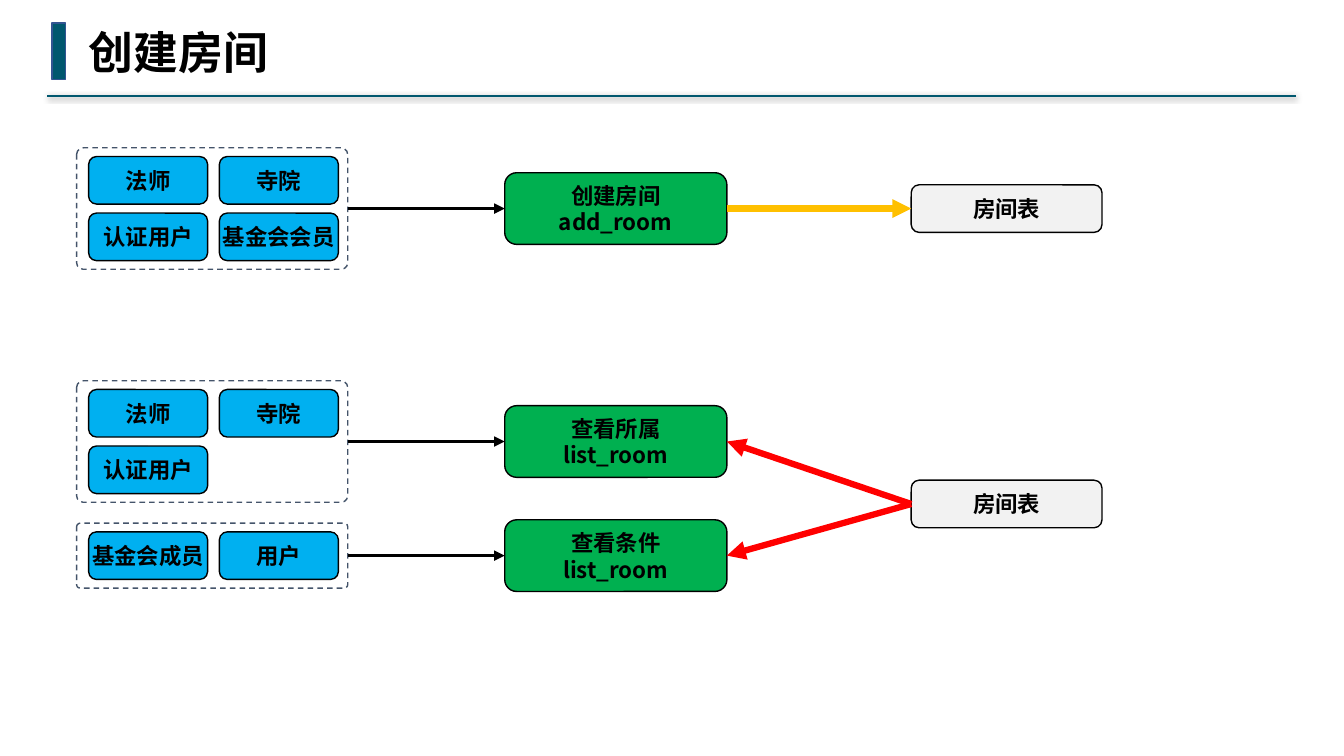
from lxml import etree
from pptx import Presentation
from pptx.dml.color import RGBColor
from pptx.enum.dml import MSO_LINE
from pptx.enum.shapes import MSO_CONNECTOR, MSO_SHAPE
from pptx.enum.text import MSO_ANCHOR, MSO_AUTO_SIZE, PP_ALIGN
from pptx.oxml.ns import qn
from pptx.util import Pt

STRAIGHT = MSO_CONNECTOR.STRAIGHT
RECT, ROUNDED = MSO_SHAPE.RECTANGLE, MSO_SHAPE.ROUNDED_RECTANGLE
TOP, MIDDLE = MSO_ANCHOR.TOP, MSO_ANCHOR.MIDDLE
LEFT, CENTER = PP_ALIGN.LEFT, PP_ALIGN.CENTER
DASH = MSO_LINE.DASH
LEFT_SITE, RIGHT_SITE = 1, 3

TITLE_FONT, BOX_FONT = "Noto Sans Mono", "Noto Sans CJK SC"
BLACK, TEAL, BLUE, GREEN, GREY = "000000", "00576E", "00B0F0", "00B050", "F2F2F2"
AMBER, RED = "FFC000", "FF0000"

# Role grid, in points
FRAME_LEFT, FRAME_W = 54.7, 193.7
ROLE_W, BOX_H = 85, 34
COL_STEP, ROW_STEP = 93.4, 40.4
PAD_X, PAD_Y = 8.6, 6.2


def rgb(color):
    return RGBColor.from_string(color)


def set_font(paragraph, name, size):
    font = paragraph.font
    font.name, font.size, font.bold = name, Pt(size), True
    font.color.rgb = rgb(BLACK)
    properties = paragraph._p.pPr.find(qn("a:defRPr"))
    etree.SubElement(properties, qn("a:ea")).set("typeface", name)


def add_block(shapes, kind, left, top, width, height, fill, line=BLACK):
    block = shapes.add_shape(kind, Pt(left), Pt(top), Pt(width), Pt(height))
    block.shadow.inherit = False
    if fill:
        block.fill.solid()
        block.fill.fore_color.rgb = rgb(fill)
    else:
        block.fill.background()
    block.line.color.rgb = rgb(line)
    block.line.width = Pt(1)
    return block


def add_box(shapes, text, left, middle, width, height, fill):
    box = add_block(shapes, ROUNDED, left, middle - height / 2, width, height, fill)
    frame = box.text_frame
    frame.margin_left = frame.margin_right = Pt(3)
    frame.margin_top = frame.margin_bottom = Pt(3)
    frame.word_wrap = False
    frame.vertical_anchor = MIDDLE
    frame.text = text
    for paragraph in frame.paragraphs:
        paragraph.alignment = CENTER
        set_font(paragraph, BOX_FONT, 16)
    return box


def add_roles(slide, middle, roles):
    """Group roles two to a row inside a dashed frame; return the frame."""
    rows = (len(roles) + 1) // 2
    height = 2 * PAD_Y + BOX_H + (rows - 1) * ROW_STEP
    top = middle - height / 2
    shapes = slide.shapes.add_group_shape().shapes
    for index, role in enumerate(roles):
        row, column = divmod(index, 2)
        add_box(shapes, role, FRAME_LEFT + PAD_X + column * COL_STEP,
                top + PAD_Y + BOX_H / 2 + row * ROW_STEP, ROLE_W, BOX_H, BLUE)
    frame = add_block(shapes, ROUNDED, FRAME_LEFT, top, FRAME_W, height, None, "44546A")
    frame.adjustments[0] = 0.055
    frame.line.dash_style = DASH
    return frame


def add_function(slide, label, middle):
    return add_box(slide.shapes, label, 360.5, middle, 158.7, 51.2, GREEN)


def add_room_table(slide, middle):
    return add_box(slide.shapes, "房间表", 650.9, middle, 136.3, BOX_H, GREY)


def add_line(slide, start, end, color, width):
    """Draw a line and return it with its empty effect list."""
    line = slide.shapes.add_connector(STRAIGHT, *(Pt(v) for v in start + end))
    line.line.color.rgb = rgb(color)
    line.line.width = Pt(width)
    return line, etree.SubElement(line._element.spPr, qn("a:effectLst"))


def add_arrow(slide, source, source_site, target, target_site, color, width):
    arrow, _ = add_line(slide, (0, 0), (0, 0), color, width)
    arrow.begin_connect(source, source_site)
    arrow.end_connect(target, target_site)
    etree.SubElement(arrow.line._get_or_add_ln(), qn("a:tailEnd")).set("type", "triangle")


def add_header(slide, text):
    # Shadowed rule
    _, effects = add_line(slide, (925.9, 68.4), (33.8, 68.4), TEAL, 1.5)
    shadow = etree.SubElement(effects, qn("a:outerShdw"), blurRad=str(Pt(4)),
                              dist=str(Pt(1)), dir="5400000", rotWithShape="0")
    shadow_color = etree.SubElement(shadow, qn("a:srgbClr"), val=BLACK)
    etree.SubElement(shadow_color, qn("a:alpha"), val="40000")
    # Accent bar
    add_block(slide.shapes, RECT, 37.2, 16.4, 9.6, 40.4, TEAL, "325491")
    # Title
    title = slide.shapes.title
    title.left, title.top, title.width, title.height = Pt(56.2), Pt(13.7), Pt(144), Pt(46.1)
    frame = title.text_frame
    frame.text = text
    frame.word_wrap = False
    frame.auto_size = MSO_AUTO_SIZE.SHAPE_TO_FIT_TEXT
    frame.vertical_anchor = TOP
    frame.paragraphs[0].alignment = LEFT
    set_font(frame.paragraphs[0], TITLE_FONT, 32)


def main():
    deck = Presentation()
    deck.slide_width, deck.slide_height = Pt(960), Pt(540)
    slide = deck.slides.add_slide(deck.slide_layouts[5])
    add_header(slide, "创建房间")

    # Each flow: middle line, roles, function
    flows = [
        (149, ["法师", "寺院", "认证用户", "基金会会员"], "创建房间\nadd_room"),
        (315.4, ["法师", "寺院", "认证用户"], "查看所属\nlist_room"),
        (396.9, ["基金会成员", "用户"], "查看条件\nlist_room"),
    ]
    functions = []
    for middle, roles, label in flows:
        role_frame = add_roles(slide, middle, roles)
        function = add_function(slide, label, middle)
        add_arrow(slide, role_frame, RIGHT_SITE, function, LEFT_SITE, BLACK, 2.5)
        functions.append(function)

    # Writing to and reading from the room table
    create, *views = functions
    add_arrow(slide, create, RIGHT_SITE, add_room_table(slide, 149), LEFT_SITE, AMBER, 4.5)
    viewed_table = add_room_table(slide, 360)
    for view in views:
        add_arrow(slide, viewed_table, LEFT_SITE, view, RIGHT_SITE, RED, 4.5)

    deck.save("out.pptx")


if __name__ == "__main__":
    main()
